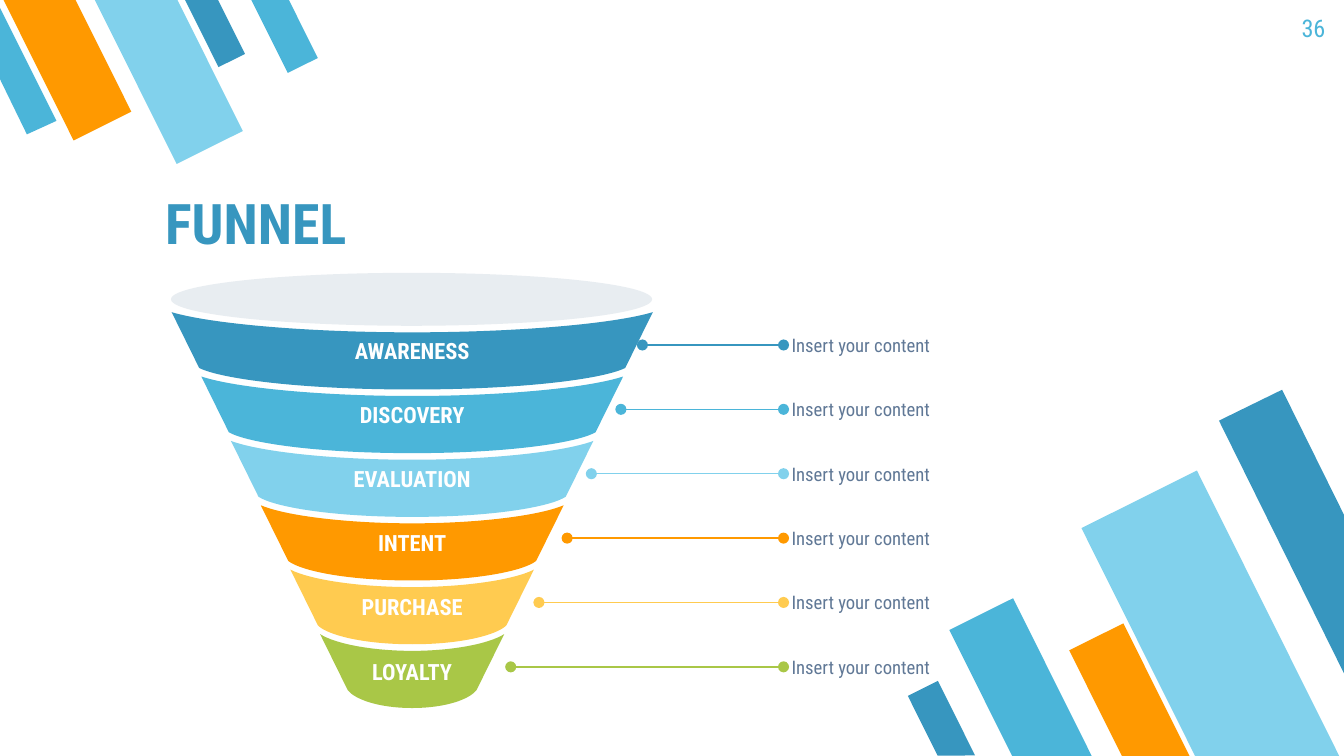
from collections import namedtuple

from lxml.etree import Element, SubElement
from pptx import Presentation
from pptx.dml.color import RGBColor
from pptx.enum.shapes import MSO_CONNECTOR, MSO_SHAPE
from pptx.enum.text import MSO_ANCHOR, PP_ALIGN
from pptx.oxml.ns import qn
from pptx.util import Inches, Pt

Box = namedtuple("Box", "left top width height")

CELL = Inches(0.1)
SLIDE_COLUMNS, SLIDE_ROWS = 100, 56.25
FONT = "Roboto Condensed"
NAVY, BLUE, SKY = "3796BF", "4BB5D9", "81D1EC"
ORANGE, YELLOW, GREEN = "FF9900", "FFCB50", "A9C747"
WHITE, SLATE, PALE = "FFFFFF", "607896", "E8EDF1"
STAGES = [
    ("AWARENESS", NAVY, 47.8),
    ("DISCOVERY", BLUE, 46.2),
    ("EVALUATION", SKY, 44),
    ("INTENT", ORANGE, 42.2),
    ("PURCHASE", YELLOW, 40.1),
    ("LOYALTY", GREEN, 38),
]
PITCH = 4.79


def color(value):
    return RGBColor.from_string(value)


def cells(count):
    return round(count * CELL)


def apply(target, values):
    for name, value in values.items():
        setattr(target, name, value)


def inside(box, left, top, width, height):
    return Box(box.left + left, box.top + top, width, height)


def paint(shape, fill):
    shape.shadow.inherit = False
    shape.fill.solid()
    shape.fill.fore_color.rgb = color(fill)
    shape.line.fill.background()


def write(shape, text, size, ink, bold=False, align=PP_ALIGN.LEFT,
          anchor=MSO_ANCHOR.MIDDLE, inset=(0, 0)):
    frame = shape.text_frame
    across, down = map(cells, inset)
    apply(frame, {
        "word_wrap": True, "vertical_anchor": anchor,
        "margin_left": across, "margin_right": across,
        "margin_top": down, "margin_bottom": down,
    })
    paragraph = frame.paragraphs[0]
    paragraph.alignment = align
    run = paragraph.add_run()
    run.text = text
    apply(run.font, {"name": FONT, "size": Pt(size), "bold": bold})
    run.font.color.rgb = color(ink)


def add_text(slide, box, text, size, ink, **options):
    shape = slide.shapes.add_textbox(*map(cells, box))
    write(shape, text, size, ink, **options)


def add_preset(slide, kind, box, fill):
    shape = slide.shapes.add_shape(kind, *map(cells, box))
    paint(shape, fill)
    return shape


def add_outline(slide, box, points, fill):
    corners = [(cells(box.left + x), cells(box.top + y)) for x, y in points]
    builder = slide.shapes.build_freeform(*corners[0], scale=1.0)
    builder.add_line_segments(corners[1:], close=True)
    shape = builder.convert_to_shape()
    paint(shape, fill)
    return shape


def bend(shape, box, curves):
    segments = list(shape._element.spPr.iter(qn("a:lnTo")))
    for index, controls in curves.items():
        segment = segments[index]
        curve = Element(qn("a:cubicBezTo"))
        for x, y in controls:
            SubElement(curve, qn("a:pt"), x=str(cells(box.left + x) - shape.left),
                       y=str(cells(box.top + y) - shape.top))
        curve.append(segment[0])
        segment.getparent().replace(segment, curve)


def add_bars(slide, box, rotation, bars, cut_bar, cut_fill):
    for *place, fill in bars:
        shape = add_preset(slide, MSO_SHAPE.FLOWCHART_MANUAL_INPUT, inside(box, *place), fill)
        shape.rotation = rotation
        shape._element.spPr.find(qn("a:xfrm")).set("flipH", "1")
    add_outline(slide, box, cut_bar, cut_fill)


def add_band(slide, box, half, sag, fill):
    middle = box.width / 2
    low_half, shoulder = half - 2.05, 4.15
    low_sag = sag + 0.1
    base = shoulder + low_sag
    left, right = middle - half, middle + half
    low_left, low_right = middle - low_half, middle + low_half
    points = [(left, 0), (low_left, shoulder), (middle, base),
              (low_right, shoulder), (right, 0), (middle, sag), (left, 0)]
    band = add_outline(slide, box, points, fill)
    low_bend = shoulder + 0.5 * low_sag
    bend(band, box, {
        1: [(middle - 0.9 * low_half, low_bend), (middle - 0.53 * low_half, base)],
        2: [(middle + 0.53 * low_half, base), (middle + 0.9 * low_half, low_bend)],
        4: [(middle + 0.83 * half, 0.6 * sag), (middle + 0.42 * half, sag)],
        5: [(middle - 0.42 * half, sag), (middle - 0.83 * half, 0.6 * sag)],
    })
    return band


def add_funnel(slide, box):
    for index, (label, fill, _) in enumerate(STAGES):
        band_box = inside(box, 0, 2.93 + PITCH * index, box.width, PITCH)
        band = add_band(slide, band_box, box.width / 2 - 2.21 * index, 1.5 - 0.05 * index, fill)
        write(band, label, 12, WHITE, bold=True, align=PP_ALIGN.CENTER, inset=(0.7, 0.4))
    add_preset(slide, MSO_SHAPE.OVAL, inside(box, -0.05, 0, box.width, 3.94), PALE)


def add_callouts(slide, box):
    for index, (_, ink, start) in enumerate(STAGES):
        row = box.top + PITCH * index
        connector = slide.shapes.add_connector(
            MSO_CONNECTOR.STRAIGHT, cells(start), cells(row), cells(box.left - 0.6), cells(row))
        connector.line.color.rgb = color(ink)
        connector.line.width = Pt(0.75)
        line = connector.line._get_or_add_ln()
        for end in ("a:headEnd", "a:tailEnd"):
            SubElement(line, qn(end), type="oval")
        SubElement(connector._element.spPr, qn("a:effectLst"))
        add_text(slide, Box(box.left, row - 1.7, box.width, 3.4),
                 "Insert your content", 10, SLATE)


def main():
    presentation = Presentation()
    apply(presentation, {"slide_width": cells(SLIDE_COLUMNS), "slide_height": cells(SLIDE_ROWS)})
    slide = presentation.slides.add_slide(presentation.slide_layouts[6])
    add_bars(
        slide, Box(68, 29, 32, 27), 153.5,
        [(5.3, 16, 5.3, 13.2, BLUE), (17.3, 6.9, 9.6, 23.9, SKY),
         (13.8, 17.8, 4.5, 11.1, ORANGE), (0.8, 21.9, 2.5, 6.2, NAVY)],
        [(27.4, 0), (22.7, 2.3), (32, 21.1), (32, 9.3)], NAVY)
    add_bars(
        slide, Box(0, 0, 24, 13), 333.5,
        [(14.9, -0.8, 2.2, 5.6, NAVY), (2.6, -1.8, 4.8, 11.8, ORANGE),
         (9.8, -2, 5.5, 13.7, SKY), (19.9, -1, 2.5, 6.2, BLUE)],
        [(2, 10), (4.2, 9), (0, 0.6), (0, 5.9)], BLUE)
    add_text(slide, Box(11.3, 12.6, 63, 7.4), "FUNNEL", 30, NAVY,
             bold=True, anchor=MSO_ANCHOR.BOTTOM, inset=(1, 1))
    add_text(slide, Box(93.6, 0, 6, 4.3), "36", 13, BLUE,
             align=PP_ALIGN.RIGHT, anchor=MSO_ANCHOR.TOP, inset=(1, 1))
    add_funnel(slide, Box(12.77, 20.3, 35.8, 32.3))
    add_callouts(slide, Box(58.9, 25.67, 27.7, 27))
    presentation.save("out.pptx")


if __name__ == "__main__":
    main()
